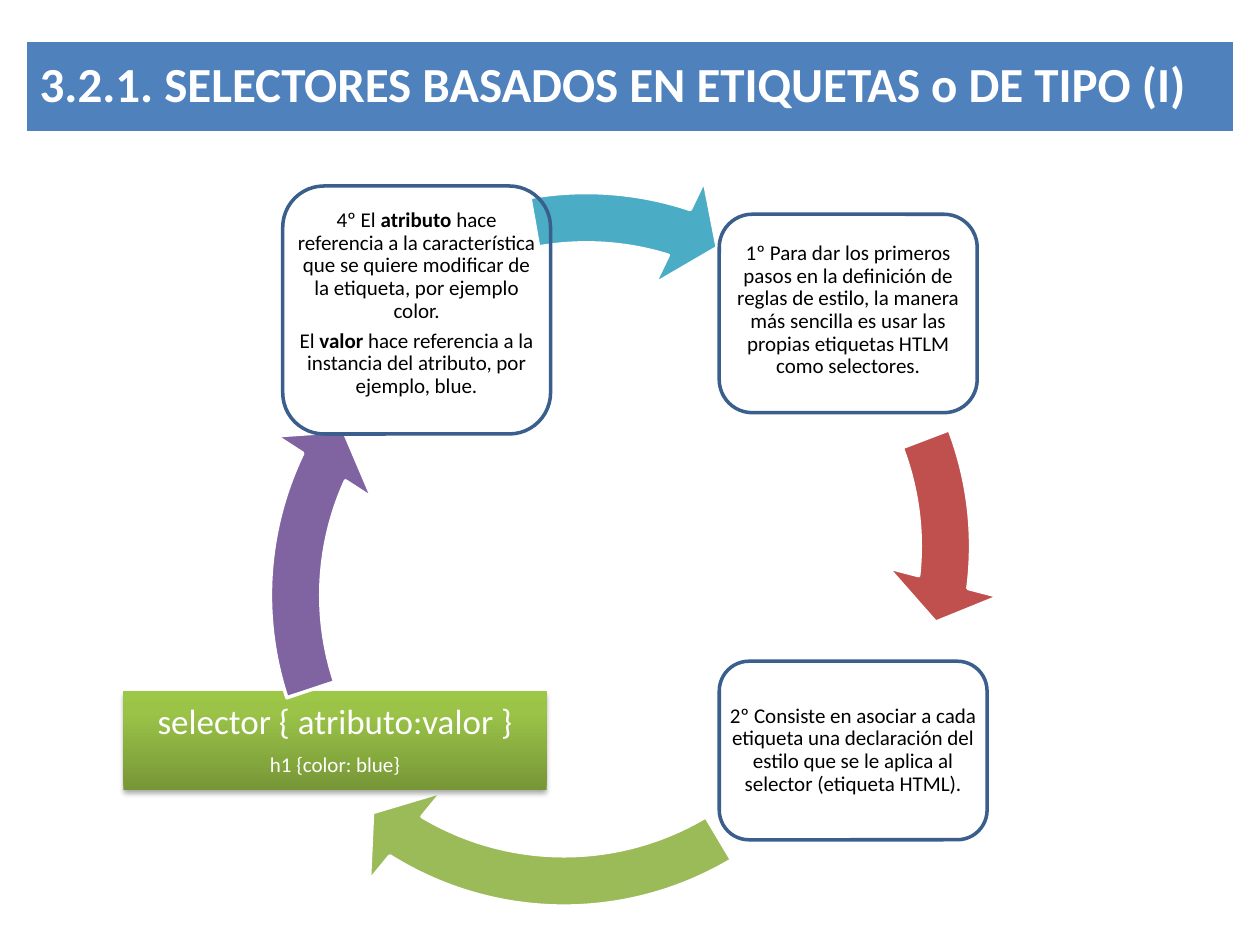
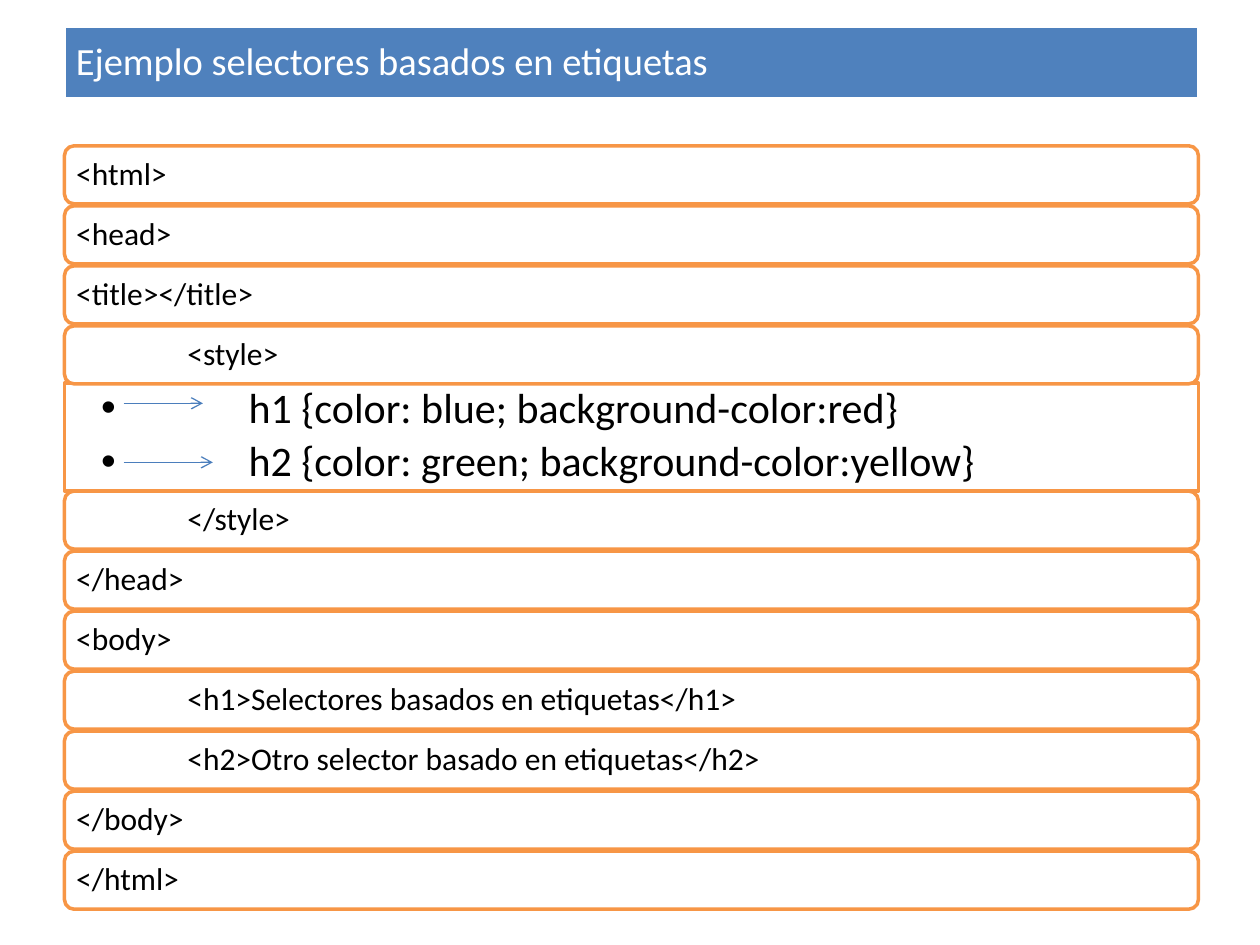
from pptx import Presentation
from pptx.dml.color import RGBColor
from pptx.enum.shapes import MSO_CONNECTOR, MSO_SHAPE
from pptx.enum.text import MSO_ANCHOR, MSO_AUTO_SIZE, PP_ALIGN
from pptx.oxml import parse_xml
from pptx.oxml.ns import nsdecls
from pptx.util import Cm, Pt

WHITE = RGBColor(0xFF, 0xFF, 0xFF)
BLACK = RGBColor(0x00, 0x00, 0x00)
BLUE = RGBColor(0x4F, 0x81, 0xBD)
NAVY = RGBColor(0x3A, 0x5F, 0x8C)
ARROW_BLUE = RGBColor(0x4B, 0x7E, 0xBC)
RED = RGBColor(0xC0, 0x50, 0x4D)
GREEN = RGBColor(0x9B, 0xBB, 0x59)
PURPLE = RGBColor(0x80, 0x64, 0xA2)
TEAL = RGBColor(0x4B, 0xAC, 0xC6)
ORANGE = RGBColor(0xF7, 0x96, 0x46)
GRADIENT = [(0, RGBColor(0x77, 0x97, 0x37)), (80, RGBColor(0x9B, 0xC3, 0x48)),
            (100, RGBColor(0x9D, 0xC7, 0x46))]
FONT = "Calibri"

STEPS = [
    ((5.7, 3.75, 5.4, 5.0), 0.28, [
        [("4º El ", False), ("atributo", True),
         (" hace referencia a la característica que se quiere modificar "
          "de la etiqueta, por ejemplo color.", False)],
        [("El ", False), ("valor", True),
         (" hace referencia a la instancia del atributo, por ejemplo, blue.", False)]]),
    ((14.5, 4.32, 5.2, 4.0), 0.15, [
        [("1º Para dar los primeros pasos en la definición de reglas de estilo, "
          "la manera más sencilla es usar las propias etiquetas HTLM como selectores.",
          False)]]),
    ((14.5, 13.33, 5.4, 3.6), 0.03, [
        [("2º Consiste en asociar a cada etiqueta una declaración del estilo "
          "que se le aplica al selector (etiqueta HTML).", False)]]),
]
ROWS_ABOVE = [("<html>", 0), ("<head>", 0), ("<title></title>", 0), ("<style>", 1)]
RULES = ["h1 {color: blue; background-color:red}",
         "h2 {color: green; background-color:yellow}"]
ROWS_BELOW = [("</style>", 1), ("</head>", 0), ("<body>", 0),
              ("<h1>Selectores basados en etiquetas</h1>", 1),
              ("<h2>Otro selector basado en etiquetas</h2>", 1),
              ("</body>", 0), ("</html>", 0)]
ROW_X, ROW_W, ROW_H, ROW_PITCH = 1.3, 22.86, 1.17, 1.21
ROW_INDENT = 2.24


def apply(obj, **values):
    """Set each named attribute on an object."""
    for name, value in values.items():
        setattr(obj, name, value)


def paint(sp, fill, line):
    """Give a shape a flat fill, if any, and a 2 pt line."""
    if fill is None:
        sp.fill.background()
    else:
        sp.fill.solid()
        sp.fill.fore_color.rgb = fill
    sp.line.color.rgb = line
    sp.line.width = Pt(2)


def place(sp, x, y, w, h):
    """Move a placeholder to a rectangle in centimetres."""
    apply(sp, left=Cm(x), top=Cm(y), width=Cm(w), height=Cm(h))


def frame(sp, left, top, right, bottom, anchor=MSO_ANCHOR.MIDDLE):
    """Prepare the text frame of a shape with insets in centimetres."""
    tf = sp.text_frame
    apply(tf, word_wrap=True, auto_size=MSO_AUTO_SIZE.NONE, vertical_anchor=anchor,
          margin_left=Cm(left), margin_top=Cm(top),
          margin_right=Cm(right), margin_bottom=Cm(bottom))
    return tf


def write(tf, runs, size, color, align=PP_ALIGN.LEFT, after=0.35, indent=0, hanging=0):
    """Add a paragraph of (text, bold) runs to a text frame."""
    p = tf.paragraphs[0]
    if p.runs:
        p = tf.add_paragraph()
    pPr = p._p.get_or_add_pPr()
    pPr.set("marL", str(Cm(indent)))
    pPr.set("indent", str(-Cm(hanging)))
    apply(p, alignment=align, line_spacing=0.9, space_before=Pt(0),
          space_after=Pt(round(size * after, 1)))
    for text, bold in runs:
        r = p.add_run()
        r.text = text
        apply(r.font, name=FONT, size=Pt(size), bold=bold)
        r.font.color.rgb = color


def add_shape(s, kind, x, y, w, h):
    """Add a preset shape placed in centimetres."""
    return s.shapes.add_shape(kind, Cm(x), Cm(y), Cm(w), Cm(h))


def add_box(s, box, fill, line):
    """Add a rounded box without shadow."""
    sp = add_shape(s, MSO_SHAPE.ROUNDED_RECTANGLE, *box)
    sp.shadow.inherit = False
    paint(sp, fill, line)
    return sp


def set_title(s, text, box, size, inset, bold):
    """Turn the title placeholder into a blue rounded band."""
    sp = s.shapes.title
    place(sp, *box)
    sp._element.spPr.append(parse_xml(
        f'<a:prstGeom {nsdecls("a")} prst="roundRect"><a:avLst/></a:prstGeom>'))
    paint(sp, BLUE, WHITE)
    write(frame(sp, inset, inset, inset, inset), [(text, bold)], size, WHITE)


def add_cycle_arrow(s, x, y, start, end, color):
    """Add a circular arrow running between two angles in degrees."""
    sp = add_shape(s, MSO_SHAPE.CIRCULAR_ARROW, x, y, 14.5, 14.5)
    sp.shadow.inherit = False
    paint(sp, color, WHITE)
    for i, value in enumerate((0.07, 7.76 * 0.6, end * 0.6, start * 0.6, 0.08)):
        sp.adjustments[i] = value


def add_syntax_box(s):
    """Add the green gradient box with the selector syntax."""
    sp = add_shape(s, MSO_SHAPE.RECTANGLE, 2.49, 13.94, 8.53, 1.98)
    stops = "".join(f'<a:gs pos="{pos * 1000}"><a:srgbClr val="{color}"/></a:gs>'
                    for pos, color in GRADIENT)
    spPr = sp._element.spPr
    spPr.append(parse_xml(
        f'<a:gradFill {nsdecls("a")} rotWithShape="1"><a:gsLst>{stops}</a:gsLst>'
        '<a:lin ang="16200000" scaled="0"/></a:gradFill>'))
    sp.line.fill.background()
    spPr.append(parse_xml(
        f'<a:effectLst {nsdecls("a")}><a:outerShdw blurRad="{Pt(3.1)}" '
        f'dist="{Pt(1.8)}" dir="5400000" rotWithShape="0"><a:srgbClr val="{BLACK}">'
        '<a:alpha val="35000"/></a:srgbClr></a:outerShdw></a:effectLst>'))
    tf = frame(sp, 0.08, 0.08, 0.08, 0.08)
    for text, size in (("selector { atributo:valor }", 20), ("h1 {color: blue}", 12)):
        write(tf, [(text, False)], size, WHITE, PP_ALIGN.CENTER)


def add_step(s, box, bottom, paragraphs):
    """Add an outlined step of the cycle."""
    tf = frame(add_box(s, box, None, NAVY), 0.03, 0.03, 0.03, bottom)
    for runs in paragraphs:
        write(tf, runs, 12, BLACK, PP_ALIGN.CENTER)


def add_code_rows(s, top, rows):
    """Stack one orange box per line of code."""
    for i, (text, level) in enumerate(rows):
        sp = add_box(s, (ROW_X, top + i * ROW_PITCH, ROW_W, ROW_H), WHITE, ORANGE)
        write(frame(sp, 0.18, 0.18, 0.18, 0.18), [(text, False)], 18, BLACK,
              indent=level * ROW_INDENT)


def set_rules(s):
    """Fill the body placeholder with the bulleted style rules."""
    sp = s.placeholders[1]
    place(sp, ROW_X, 7.72, ROW_W, 2.18)
    paint(sp, WHITE, ORANGE)
    tf = frame(sp, 0.74, 0.08, 0.48, 0.08, MSO_ANCHOR.TOP)
    for rule in RULES:
        write(tf, [(rule, False)], 24, BLACK, after=0.2, indent=2.97, hanging=2.97)


def add_arrow(s, x1, x2, y):
    """Add a thin horizontal arrow."""
    c = s.shapes.add_connector(MSO_CONNECTOR.STRAIGHT, Cm(x1), Cm(y), Cm(x2), Cm(y))
    c.line.color.rgb = ARROW_BLUE
    c.line.width = Pt(0.75)
    c.line._get_or_add_ln().append(parse_xml(f'<a:tailEnd {nsdecls("a")} type="arrow"/>'))
    c._element.spPr.append(parse_xml(f'<a:effectLst {nsdecls("a")}/>'))


def build_cycle(prs):
    """Build the slide with the selector cycle."""
    s = prs.slides.add_slide(prs.slide_layouts[5])
    set_title(s, "3.2.1. SELECTORES BASADOS EN ETIQUETAS o DE TIPO (I)",
              (0.5, 0.82, 24.4, 1.86), 28, 0.3, True)
    add_cycle_arrow(s, 5.72, 3.76, 339.17, 6.83, RED)
    add_cycle_arrow(s, 4.12, 4.42, 59.18, 121.55, GREEN)
    add_syntax_box(s)
    add_cycle_arrow(s, 4.8, 4.75, 161.75, 205.1, PURPLE)
    add_cycle_arrow(s, 4.57, 3.23, 260.08, 287.93, TEAL)
    for step in STEPS:
        add_step(s, *step)


def build_example(prs):
    """Build the slide with the sample page code."""
    s = prs.slides.add_slide(prs.slide_layouts[1])
    set_title(s, "Ejemplo selectores basados en etiquetas",
              (ROW_X, 0.53, ROW_W, 1.47), 22, 0.23, False)
    set_rules(s)
    add_code_rows(s, 2.94, ROWS_ABOVE)
    add_code_rows(s, 9.9, ROWS_BELOW)
    add_arrow(s, 2.49, 4.09, 8.13)
    add_arrow(s, 2.49, 4.29, 9.32)


def main():
    """Build and save the presentation."""
    prs = Presentation()
    apply(prs, slide_width=Cm(25.4), slide_height=Cm(19.05))
    build_cycle(prs)
    build_example(prs)
    prs.save("out.pptx")


if __name__ == "__main__":
    main()
